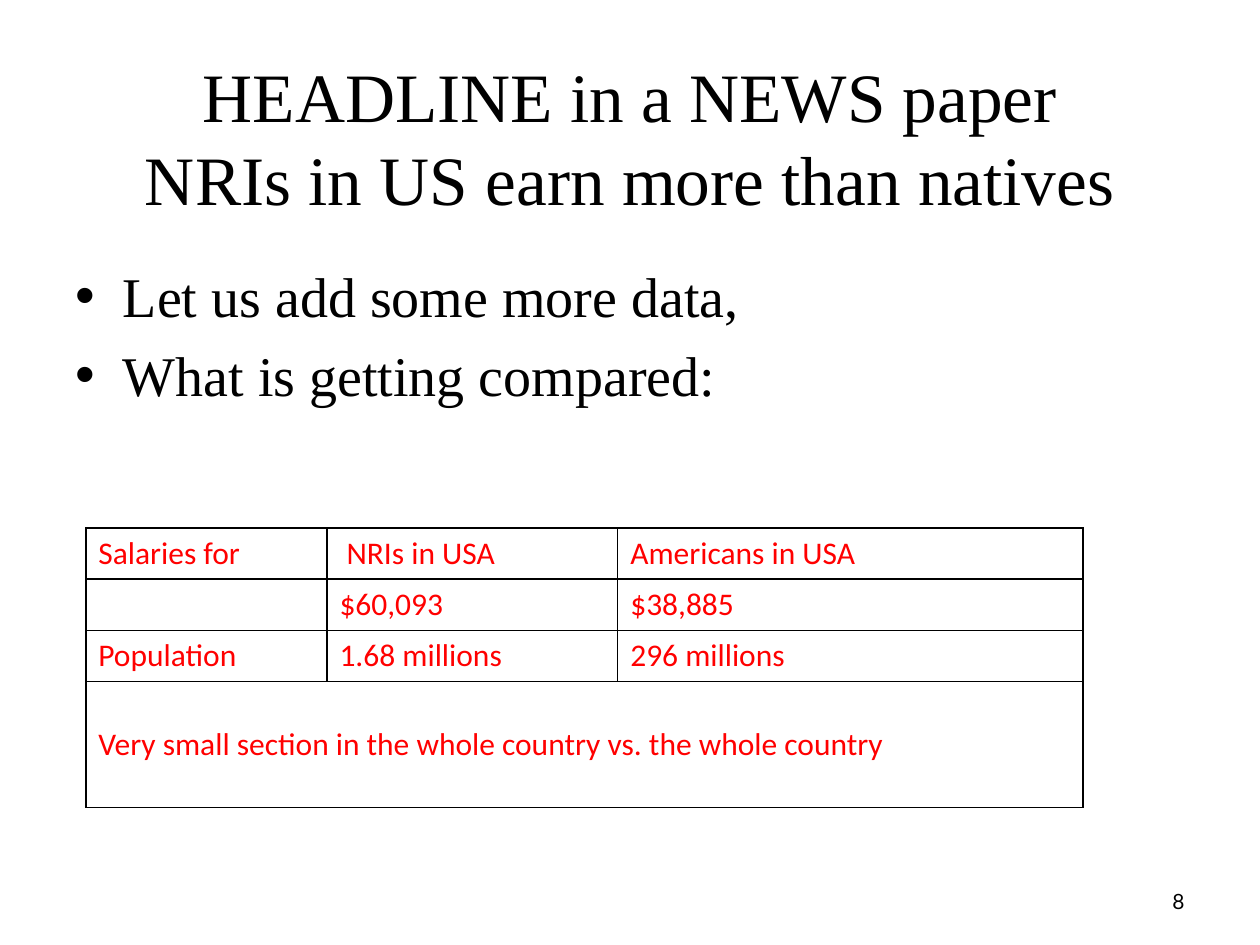
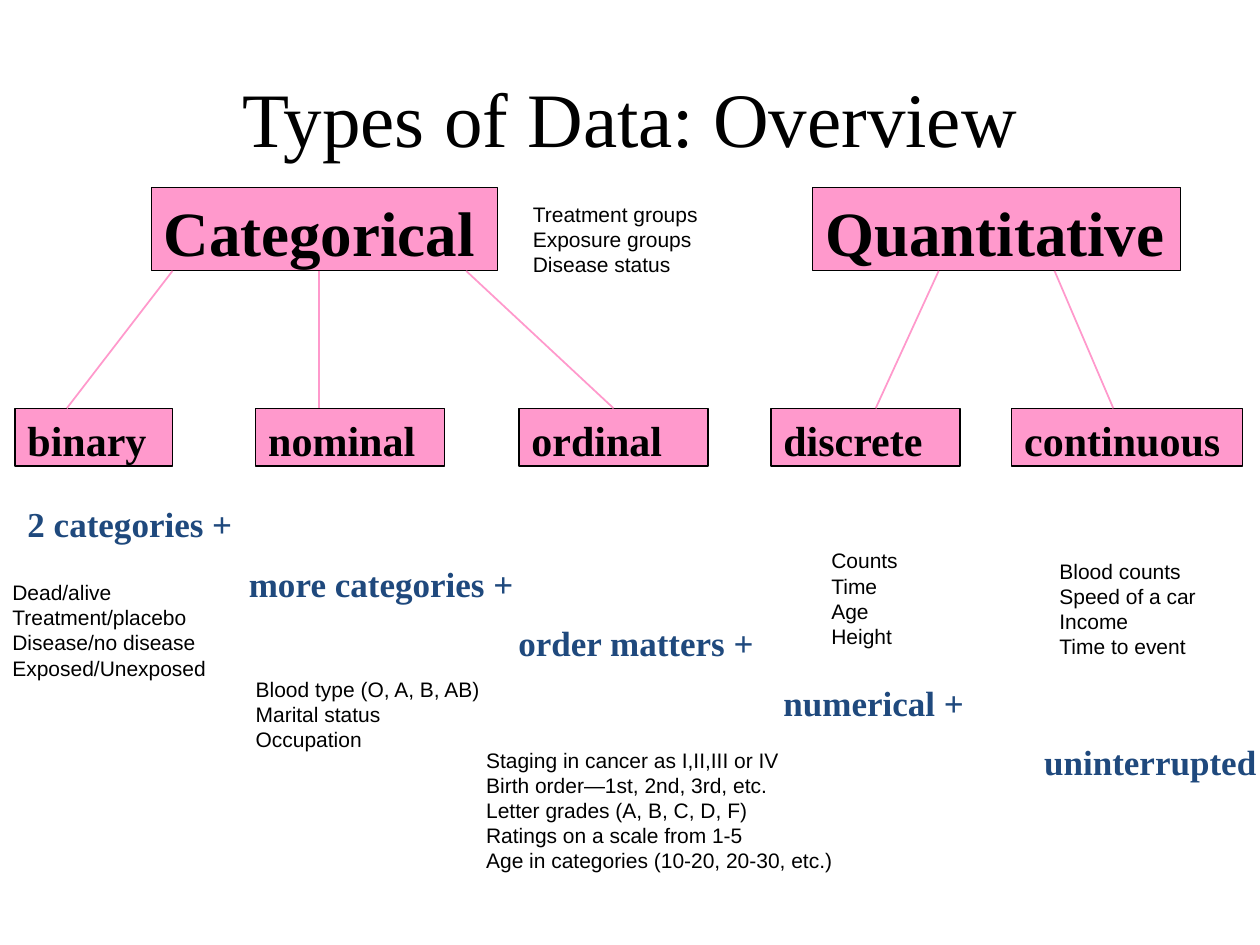
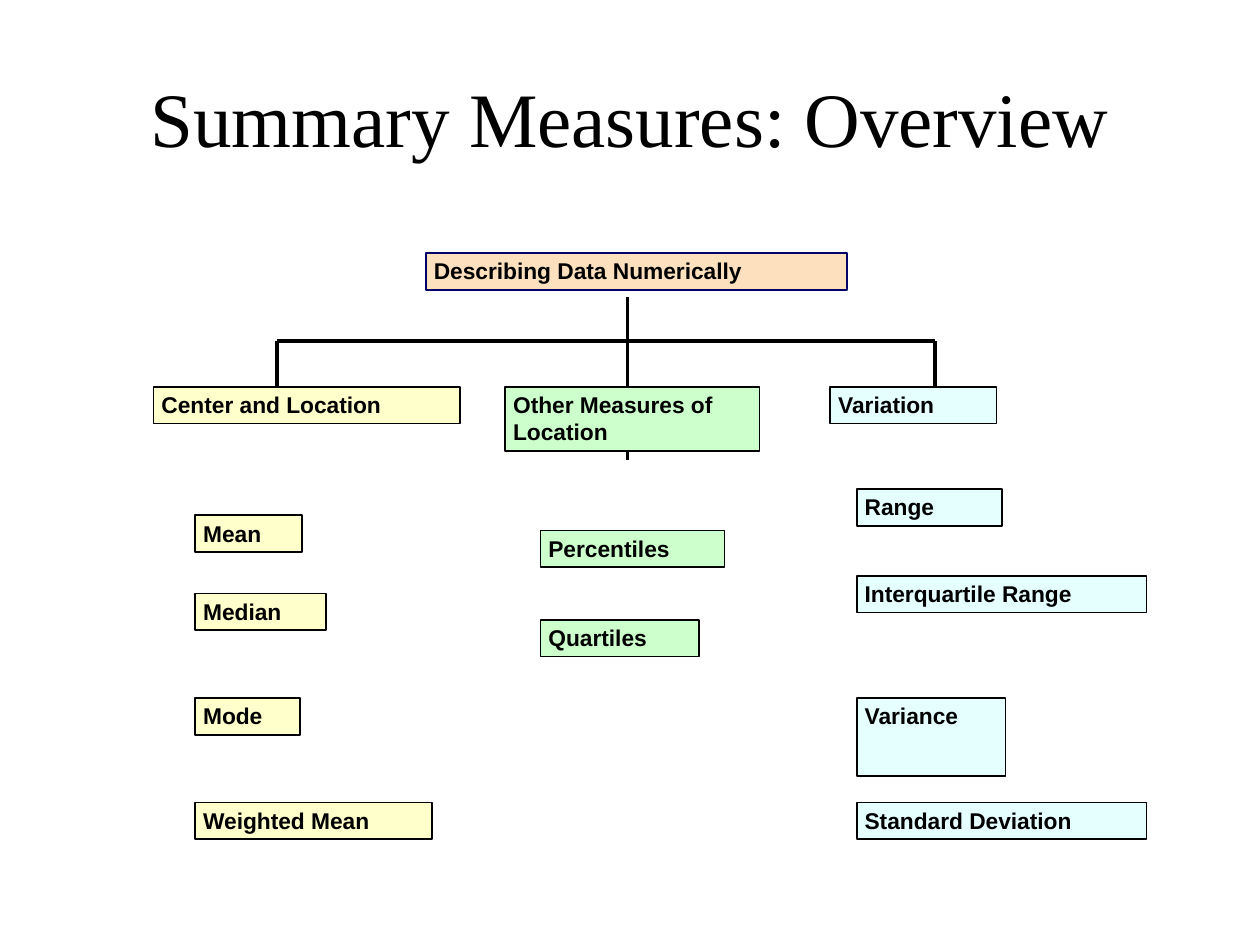
import dataclasses
import itertools

import lxml.etree
import pptx
import pptx.dml.color
import pptx.enum.shapes
import pptx.enum.text
import pptx.oxml
import pptx.oxml.ns
import pptx.util

Pt = pptx.util.Pt
ALIGN = pptx.enum.text.PP_ALIGN
ANCHOR = pptx.enum.text.MSO_ANCHOR
SHAPES = pptx.enum.shapes


@dataclasses.dataclass(frozen=True)
class Type:
    font: str
    size: float
    color: str = "000000"
    bold: bool = False


@dataclasses.dataclass(frozen=True)
class Theme:
    black: str = "000000"
    white: str = "FFFFFF"
    pink: str = "FF99CC"
    yellow: str = "FFFFCC"
    green: str = "CCFFCC"
    cyan: str = "E5FFFF"
    peach: str = "FDE0BD"
    navy: str = "000066"
    title: Type = Type("Times New Roman", 44)
    long_title: Type = Type("Times New Roman", 39.6)
    body: Type = Type("Times New Roman", 32)
    table: Type = Type("Calibri", 18, "FF0000")
    number: Type = Type("Lato", 12)
    family: Type = Type("Times New Roman", 36, bold=True)
    kind: Type = Type("Times New Roman", 24, bold=True)
    step: Type = Type("Times New Roman", 20, "1F497D", True)
    note: Type = Type("Arial", 12)
    measure: Type = Type("Arial", 13, bold=True)
    wide_insets: tuple = (7.2, 3.6, 7.2, 0)
    note_insets: tuple = (7.2, 3.6, 7.2, 3.6)
    tight_insets: tuple = (4.5, 2.25, 4.5, 2.25)


def rgb(color):
    return pptx.dml.color.RGBColor.from_string(color)


def place(item, left, top, width, height):
    item.left, item.top, item.width, item.height = map(Pt, (left, top, width, height))


class Deck:
    def __init__(self, theme):
        self.theme = theme
        self.deck = pptx.Presentation()
        self.deck.slide_width, self.deck.slide_height = Pt(720), Pt(540)
        self.page = None

    def add_page(self, title, style, top=21.6, layout=5):
        self.page = self.deck.slides.add_slide(self.deck.slide_layouts[layout])
        box = self.page.shapes.title
        place(box, 36, top, 648, 90)
        box.text_frame.vertical_anchor = ANCHOR.MIDDLE
        self.set_lines(box.text_frame, [title], style, align=ALIGN.CENTER)

    def set_lines(self, frame, lines, style, align=None, spread=False, indents=()):
        frame.word_wrap = True
        for index, (line, indent) in enumerate(itertools.zip_longest(lines, indents)):
            para = frame.add_paragraph() if index else frame.paragraphs[0]
            para.text = line
            para.font.name = style.font
            para.font.size = Pt(style.size)
            para.font.bold = style.bold
            para.font.color.rgb = rgb(style.color)
            if align is not None:
                para.alignment = align
            properties = para._p.get_or_add_pPr()
            if spread:
                spacing = pptx.oxml.parse_xml(
                    f'<a:spcBef {pptx.oxml.ns.nsdecls("a")}><a:spcPct val="50000"/></a:spcBef>')
                properties.insert(0, spacing)
            if indent:
                properties.set("marL", str(Pt(indent)))

    def set_insets(self, frame, insets):
        (frame.margin_left, frame.margin_top,
         frame.margin_right, frame.margin_bottom) = map(Pt, insets)

    def add_list(self, lines, *bounds):
        body = self.page.placeholders[1]
        place(body, *bounds)
        self.set_lines(body.text_frame, lines, self.theme.body)

    def add_text(self, lines, style, bounds, insets=None, anchor=ANCHOR.TOP, **options):
        box = self.page.shapes.add_textbox(*map(Pt, bounds))
        self.set_insets(box.text_frame, insets or self.theme.note_insets)
        box.text_frame.vertical_anchor = anchor
        self.set_lines(box.text_frame, lines, style, **options)

    def add_box(self, text, style, bounds, fill, insets, line=None, weight=1, spread=False):
        box = self.page.shapes.add_shape(SHAPES.MSO_SHAPE.RECTANGLE, *map(Pt, bounds))
        box.shadow.inherit = False
        box.fill.solid()
        box.fill.fore_color.rgb = rgb(fill)
        box.line.color.rgb = rgb(line or self.theme.black)
        box.line.width = Pt(weight)
        self.set_insets(box.text_frame, insets)
        box.text_frame.vertical_anchor = ANCHOR.TOP
        self.set_lines(box.text_frame, [text], style, ALIGN.LEFT, spread)
        return box

    def add_line(self, start, end, color, weight):
        line = self.page.shapes.add_connector(
            SHAPES.MSO_CONNECTOR.STRAIGHT, *map(Pt, (*start, *end)))
        line.line.color.rgb = rgb(color)
        line.line.width = Pt(weight)
        lxml.etree.SubElement(line._element.spPr, pptx.oxml.ns.qn("a:effectLst"))
        return line

    def add_table(self, rows, left, top, widths, heights):
        table = self.page.shapes.add_table(
            len(rows), len(widths), *map(Pt, (left, top, sum(widths), sum(heights)))).table
        for column, width in zip(table.columns, widths):
            column.width = Pt(width)
        for row, height in zip(table.rows, heights):
            row.height = Pt(height)
        for row, texts in zip(table.rows, rows):
            for cell, text in itertools.zip_longest(row.cells, texts, fillvalue=""):
                self.add_borders(cell)
                cell.fill.solid()
                cell.fill.fore_color.rgb = rgb(self.theme.white)
                if text:
                    self.set_lines(cell.text_frame, [text], self.theme.table)
        return table

    def add_borders(self, cell):
        properties = cell._tc.get_or_add_tcPr()
        for side in "LRTB":
            properties.append(pptx.oxml.parse_xml(
                f'<a:ln{side} {pptx.oxml.ns.nsdecls("a")} w="{Pt(1)}"><a:solidFill>'
                f'<a:srgbClr val="{self.theme.black}"/></a:solidFill></a:ln{side}>'))


def add_headline(deck):
    theme = deck.theme
    deck.add_page("HEADLINE in a NEWS paper\vNRIs in US earn more than natives",
                  theme.long_title, top=33, layout=1)
    deck.add_list(["Let us add some more data,", "What is getting compared:"],
                  36, 146, 648, 147)
    table = deck.add_table(
        [["Salaries for", " NRIs in USA", "Americans in USA"],
         ["", "$60,093", "$38,885"],
         ["Population", "1.68 millions", "296 millions"],
         ["Very small section in the whole country vs. the whole country"]],
        49, 301.7, (137.8, 166.2, 266), (29.3, 29.3, 29.3, 72))
    summary = table.cell(3, 0)
    summary.merge(table.cell(3, 2))
    summary.vertical_anchor = ANCHOR.MIDDLE
    deck.add_text(["8"], theme.number, (516, 500.5, 168, 28.8),
                  anchor=ANCHOR.MIDDLE, align=ALIGN.RIGHT)


def add_data_types(deck):
    theme = deck.theme
    deck.add_page("Types of Data: Overview", theme.title)
    family_top, family_height, kind_top = 107.3, 47.5, 233.3
    family_bottom = family_top + family_height

    def add_pink_box(text, style, *bounds):
        return deck.add_box(text, style, bounds, theme.pink, theme.wide_insets,
                            weight=0.75, spread=True)

    for text, left, width in (("Categorical", 86.4, 198), ("Quantitative", 464.4, 210.2)):
        add_pink_box(text, theme.family, left, family_top, width, family_height)
    kinds = {}
    for text, left, width in (("binary", 8.6, 90), ("nominal", 146.2, 108),
                              ("ordinal", 296.6, 108), ("discrete", 440.6, 108),
                              ("continuous", 578.2, 131.8)):
        kinds[text] = add_pink_box(text, theme.kind, left, kind_top, width, 33.1)

    branches = {"binary": (98.6, 38.2), "nominal": (182.4, 182.4), "ordinal": (266.4, 350.6),
                "discrete": (536.4, 500.4), "continuous": (602.6, 636.2)}
    lines = {kind: deck.add_line((start, family_bottom), (end, kind_top), theme.pink, 1)
             for kind, (start, end) in branches.items()}
    lines["ordinal"].end_connect(kinds["ordinal"], 0)

    deck.add_text(["2 categories +", "more categories +", "order matters +",
                   "numerical +", "uninterrupted"],
                  theme.step, (8.6, 283.7, 711.4, 207.4), insets=(7.2, 3.6, 0, 0),
                  spread=True, indents=(0, 126.5, 280.5, 432, 581))

    for bounds, notes in (
            ((297.4, 111.6, 146, 50.4),
             ["Treatment groups", "Exposure groups", "Disease status"]),
            ((0, 327.6, 133, 64.8),
             ["Dead/alive", "Treatment/placebo", "Disease/no disease", "Exposed/Unexposed"]),
            ((139, 383, 170, 50.4),
             ["Blood type (O, A, B, AB)", "Marital status", "Occupation"]),
            ((270.7, 423.4, 237, 79.2),
             ["Staging in cancer as I,II,III or IV", "Birth order—1st, 2nd, 3rd, etc.",
              "Letter grades (A, B, C, D, F)", "Ratings on a scale from 1-5",
              "Age in categories (10-20, 20-30, etc.)"]),
            ((468, 309.6, 67, 64.8), ["Counts", "Time", "Age", "Height"]),
            ((598.3, 315.4, 107.3, 64.8),
             ["Blood counts", "Speed of a car", "Income", "Time to event"])):
        deck.add_text(notes, theme.note, bounds)


def add_summary_measures(deck):
    theme = deck.theme
    deck.add_page("Summary Measures: Overview", theme.title)
    left, middle, right, bar = 158.4, 358.6, 534.2, 195.1
    for start, end in (((left, bar), (left, 239)), ((middle, 170), (middle, 262.8)),
                       ((left, bar), (right, bar)), ((right, bar), (right, 235))):
        deck.add_line(start, end, theme.black, 2.25)

    def add_measure(text, fill, x, y, width, height=21, line=None):
        deck.add_box(text, theme.measure, (x, y, width, height), fill,
                     theme.tight_insets, line)

    add_measure("Describing Data Numerically", theme.peach, 243.4, 144.7, 240.5,
                line=theme.navy)
    add_measure("Center and Location", theme.yellow, 87.8, 221, 175)
    add_measure("Other Measures of Location", theme.green, 288.7, 221, 145.4, 36.7)
    add_measure("Variation", theme.cyan, 474.5, 221, 95)
    add_measure("Variance", theme.cyan, 489.6, 398.9, 85, 44.6)
    for fill, x, measures in (
            (theme.yellow, 111.6, (("Mean", 294.5, 61.2), ("Median", 339.1, 74.9),
                                   ("Mode", 398.9, 59.8), ("Weighted Mean", 458.6, 135.4))),
            (theme.green, 308.9, (("Percentiles", 303.1, 105.1), ("Quartiles", 354.2, 90.7))),
            (theme.cyan, 489.6, (("Range", 279.4, 82.8), ("Interquartile Range", 329, 165.6),
                                 ("Standard Deviation", 458.6, 165.6)))):
        for text, y, width in measures:
            add_measure(text, fill, x, y, width)


def main():
    deck = Deck(Theme())
    add_headline(deck)
    add_data_types(deck)
    add_summary_measures(deck)
    deck.deck.save("out.pptx")


if __name__ == "__main__":
    main()
